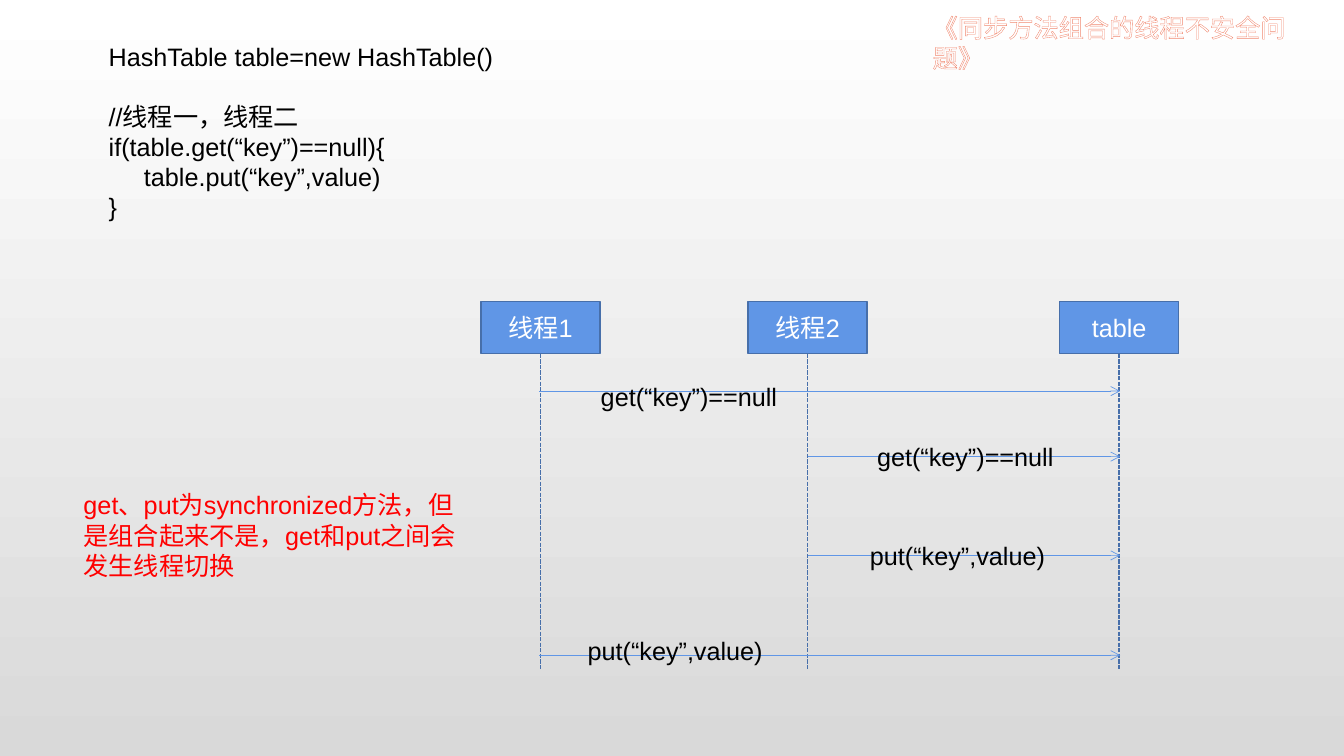
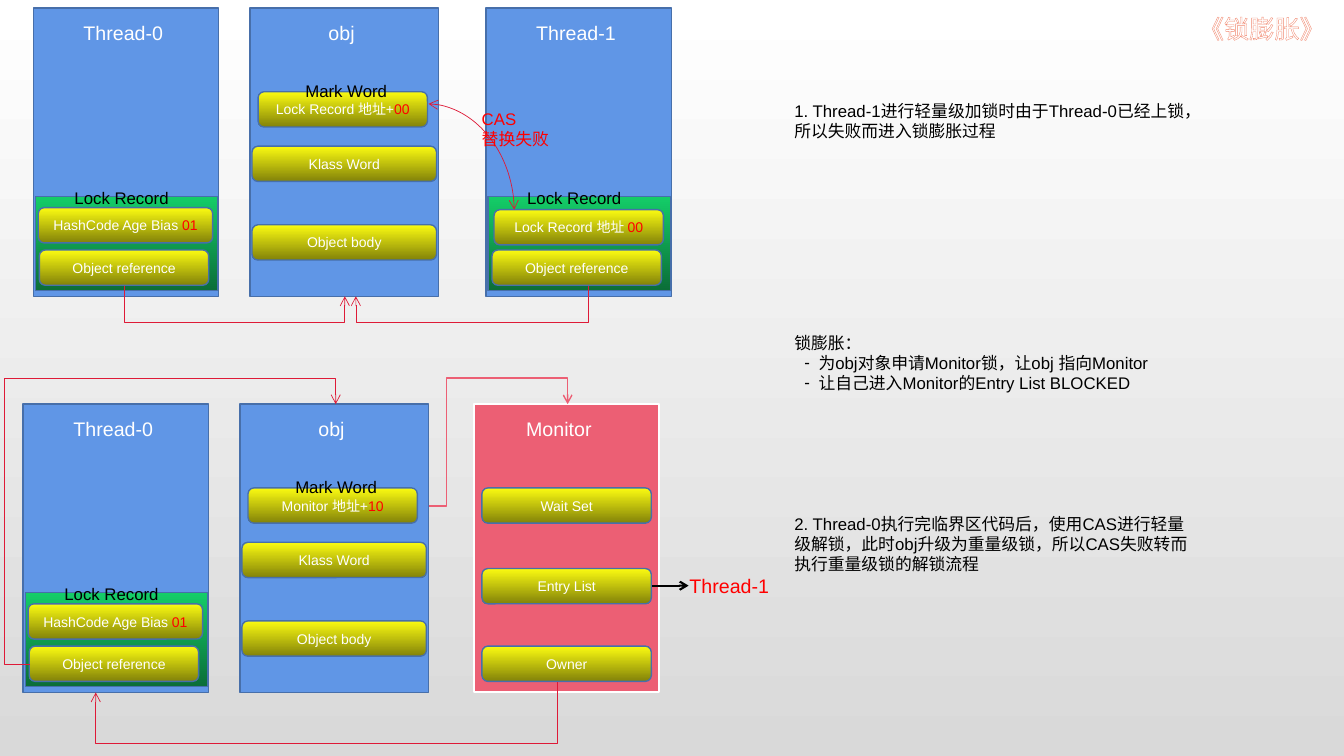
from lxml import etree
from pptx import Presentation
from pptx.dml.color import RGBColor
from pptx.enum.dml import MSO_LINE, MSO_PATTERN
from pptx.enum.shapes import MSO_CONNECTOR, MSO_SHAPE
from pptx.enum.text import MSO_ANCHOR, MSO_AUTO_SIZE, PP_ALIGN
from pptx.oxml.ns import qn
from pptx.util import Inches, Pt

RECT, ROUNDED = MSO_SHAPE.RECTANGLE, MSO_SHAPE.ROUNDED_RECTANGLE
STRAIGHT, ELBOW, CURVE = MSO_CONNECTOR.STRAIGHT, MSO_CONNECTOR.ELBOW, MSO_CONNECTOR.CURVE
TITLE_ONLY = 5
FONT = "Arial"
WHITE, BLACK, RED = "FFFFFF", "000000", "FF0000"
BLUE, BLUE_EDGE = "6096E6", "476FAA"
CORAL, CRIMSON = "EC5F74", "DE1A37"
GREEN = ("14CD68", "0B6E38")
YELLOW = ("FBFB11", "838309")
BACKDROP = (WHITE, "D9D9D9")
hex_color = RGBColor.from_string


def block(slide, at, lines=(), size=18, color=BLACK, fill=None, geometry=RECT,
          edge=BLUE_EDGE, edge_width=1):
    """Add a filled shape, or a text box when fill is None.

    Each line is a list of runs: plain strings or (text, color) pairs.
    A tuple as fill makes a gradient from top to bottom.
    """
    place = [Inches(length) for length in at]
    if fill is None:
        shape = slide.shapes.add_textbox(*place)
    else:
        shape = slide.shapes.add_shape(geometry, *place)
        shape.shadow.inherit = False
        shape.line.color.rgb = hex_color(edge)
        shape.line.width = Pt(edge_width)
        if isinstance(fill, tuple):
            shape.fill.gradient()
            shape.fill.gradient_angle = 270
            for stop, stop_color in zip(shape.fill.gradient_stops, fill):
                stop.color.rgb = hex_color(stop_color)
        else:
            shape.fill.solid()
            shape.fill.fore_color.rgb = hex_color(fill)
    frame = shape.text_frame
    frame.word_wrap = True
    for number, runs in enumerate(lines):
        paragraph = frame.add_paragraph() if number else frame.paragraphs[0]
        paragraph.alignment = PP_ALIGN.CENTER if fill else PP_ALIGN.LEFT
        for part in runs:
            text, run_color = (part, color) if isinstance(part, str) else part
            run = paragraph.add_run()
            run.text = text
            run.font.name = FONT
            run.font.size = Pt(size)
            run.font.color.rgb = hex_color(run_color)
    return shape


def link(slide, start, end, color, width, kind=STRAIGHT, preset="line", corner=None, arrows=()):
    """Add a connector; corner is the x of its first bend and the y of its second."""
    connector = slide.shapes.add_connector(kind, *[Inches(v) for v in (*start, *end)])
    connector.line.color.rgb = hex_color(color)
    connector.line.width = Pt(width)
    properties = connector._element.spPr
    geometry = properties.find(qn("a:prstGeom"))
    geometry.set("prst", preset)
    if corner:
        guides = geometry.find(qn("a:avLst"))
        if guides is None:
            guides = etree.SubElement(geometry, qn("a:avLst"))
        for axis in (0, 1):
            share = (corner[axis] - start[axis]) / (end[axis] - start[axis])
            etree.SubElement(guides, qn("a:gd"), name=f"adj{axis + 1}",
                             fmla=f"val {round(share * 100000)}")
    for arrow in arrows:
        etree.SubElement(properties.find(qn("a:ln")), qn(f"a:{arrow}"), type="arrow")
    etree.SubElement(properties, qn("a:effectLst"))
    return connector


prs = Presentation()
prs.slide_width, prs.slide_height = Inches(13.33), Inches(7.5)
backdrop = prs.slide_master.background.fill
backdrop.gradient()
backdrop.gradient_angle = 270
for stop, stop_color in zip(backdrop.gradient_stops, BACKDROP):
    stop.color.rgb = hex_color(stop_color)

# Slides with their hatched, outlined titles
slides = []
for heading, at in [
    ("《同步方法组合的线程不安全问题》", (9.15, 0.07, 4.09, 0.7)),
    ("《锁膨胀》", (11.79, 0.08, 1.54, 0.4)),
]:
    slide = prs.slides.add_slide(prs.slide_layouts[TITLE_ONLY])
    slides.append(slide)
    title = slide.shapes.title
    title.left, title.top, title.width, title.height = [Inches(v) for v in at]
    frame = title.text_frame
    frame.word_wrap = True
    frame.margin_right = 0
    frame.auto_size = MSO_AUTO_SIZE.NONE
    frame.vertical_anchor = MSO_ANCHOR.TOP
    frame.paragraphs[0].alignment = PP_ALIGN.LEFT
    run = frame.paragraphs[0].add_run()
    run.text = heading
    run.font.name = FONT
    run.font.size = Pt(18)
    run.font.fill.patterned()
    run.font.fill.pattern = MSO_PATTERN.LIGHT_DOWNWARD_DIAGONAL
    run.font.fill.fore_color.rgb = hex_color("F7B8A9")
    run.font.fill.back_color.rgb = hex_color(WHITE)
    outline = etree.Element(qn("a:ln"), w=str(Pt(1)))
    outline_fill = etree.SubElement(outline, qn("a:solidFill"))
    etree.SubElement(outline_fill, qn("a:srgbClr"), val="F18870")
    run._r.get_or_add_rPr().insert(0, outline)
unsafe_calls, lock_inflation = slides

# Slide 1: code and sequence diagram
code = block(unsafe_calls, (0.98, 0.36, 5.1, 1.92), [
    ["HashTable table=new HashTable()"],
    ["//线程一，线程二"],
    ["if(table.get(“key”)==null){"],
    ["table.put(“key”,value)"],
    ["}"],
])
code_lines = code.text_frame.paragraphs
code_lines[1].space_before = Pt(21)
code_lines[3]._p.get_or_add_pPr().set("marL", str(Inches(0.35)))

for participant, left, lifeline in [
    ("线程1", 4.77, 5.36), ("线程2", 7.42, 8.01), ("table", 10.51, 11.1),
]:
    block(unsafe_calls, (left, 2.99, 1.18, 0.52), [[participant]], color=WHITE, fill=BLUE)
    stem = link(unsafe_calls, (lifeline, 3.51), (lifeline, 6.65), BLUE_EDGE, 1)
    stem.line.dash_style = MSO_LINE.SQUARE_DOT

for call, caller, y, label_left, label_top in [
    ("get(“key”)==null", 5.35, 3.88, 5.86, 3.73),
    ("get(“key”)==null", 8.01, 4.53, 8.6, 4.33),
    ("put(“key”,value)", 8.01, 5.51, 8.53, 5.31),
    ("put(“key”,value)", 5.35, 6.5, 5.73, 6.25),
]:
    link(unsafe_calls, (caller, y), (11.11, y), BLUE, 0.5, arrows=["tailEnd"])
    block(unsafe_calls, (label_left, label_top, 2.21, 0.4), [[call]])

block(unsafe_calls, (0.73, 4.81, 3.96, 1.01),
      [["get、put为synchronized方法，但是组合起来不是，get和put之间会发生线程切换"]], color=RED)

# Slide 2: threads with their lock records
hash_record = ["HashCode Age Bias ", ("01", RED)]
for name, left, top, record, record_dx, record_dy, record_width in [
    ("Thread-0", 0.33, 0.08, hash_record, 0.05, 1.98, 1.73),
    ("Thread-1", 4.82, 0.08, ["Lock Record 地址 ", ("00", RED)], 0.08, 2, 1.68),
    ("Thread-0", 0.23, 4.01, hash_record, 0.05, 1.98, 1.73),
]:
    block(lock_inflation, (left, top, 1.84, 2.86), fill=BLUE)
    block(lock_inflation, (left + 0.4, top + 0.08, 1.04, 0.34), [[name]], 14, WHITE)
    block(lock_inflation, (left + 0.02, top + 1.87, 1.81, 0.93), fill=GREEN)
    block(lock_inflation, (left + 0.31, top + 1.73, 1.19, 0.3), [["Lock Record"]], 12)
    for runs, dx, dy, width in [
        (record, record_dx, record_dy, record_width),
        (["Object reference"], 0.06, 2.4, 1.68),
    ]:
        block(lock_inflation, (left + dx, top + dy, width, 0.35), [runs], 10, WHITE,
              YELLOW, ROUNDED)

# Objects before and after inflation
for left, top, mark_word in [
    (2.48, 0.08, ["Lock Record 地址+", ("00", RED)]),
    (2.38, 4.01, ["Monitor 地址+", ("10", RED)]),
]:
    block(lock_inflation, (left, top, 1.87, 2.86), fill=BLUE)
    block(lock_inflation, (left + 0.68, top + 0.08, 0.6, 0.34), [["obj"]], 14, WHITE)
    for runs, dx, dy, width in [
        (mark_word, 0.08, 0.83, 1.68),
        (["Klass Word"], 0.02, 1.37, 1.83),
        (["Object body"], 0.02, 2.15, 1.83),
    ]:
        block(lock_inflation, (left + dx, top + dy, width, 0.35), [runs], 10, WHITE,
              YELLOW, ROUNDED)
    block(lock_inflation, (left + 0.45, top + 0.67, 1.19, 0.3), [["Mark Word"]], 12)

# Monitor
block(lock_inflation, (4.7, 4.01, 1.84, 2.86), fill=CORAL, edge=WHITE, edge_width=1.5)
block(lock_inflation, (5.12, 4.09, 1.04, 0.34), [["Monitor"]], 14, WHITE)
for field, top in [("Wait Set", 4.84), ("Entry List", 5.64), ("Owner", 6.41)]:
    block(lock_inflation, (4.78, top, 1.68, 0.35), [[field]], 10, WHITE, YELLOW, ROUNDED)
block(lock_inflation, (6.74, 5.64, 1.04, 0.34), [["Thread-1"]], 14, RED)
link(lock_inflation, (6.47, 5.81), (6.83, 5.81), BLACK, 1.5, arrows=["tailEnd"])

# References between threads, objects and monitor
for start, end, corner, color, width in [
    ((1.23, 2.84), (3.42, 2.94), (1.23, 3.2), CRIMSON, 0.5),
    ((5.84, 2.84), (3.53, 2.94), (5.84, 3.2), CRIMSON, 0.5),
    ((0.3, 6.59), (3.33, 4.01), (0.04, 3.75), CRIMSON, 0.5),
    ((5.53, 6.77), (0.95, 6.87), (5.53, 7.38), CRIMSON, 0.5),
    ((4.25, 5.02), (5.63, 4.01), (4.43, 3.75), CORAL, 1),
]:
    link(lock_inflation, start, end, color, width, ELBOW, "bentConnector4", corner, ["tailEnd"])
link(lock_inflation, (4.25, 1.03), (5.1, 2.08), CRIMSON, 0.5, CURVE, "curvedConnector2",
     arrows=["headEnd", "tailEnd"])
block(lock_inflation, (4.68, 1.03, 0.93, 0.5), [["CAS"], ["替换失败"]], 12, RED)

# Explanation
block(lock_inflation, (7.78, 0.95, 4.24, 0.5),
      [["1. Thread-1进行轻量级加锁时由于Thread-0已经上锁，所以失败而进入锁膨胀过程"]], 12)
steps = block(lock_inflation, (7.78, 3.25, 4.22, 2.52), [
    ["锁膨胀："],
    ["为obj对象申请Monitor锁，让obj 指向Monitor"],
    ["让自己进入Monitor的Entry List BLOCKED"],
    ["2. Thread-0执行完临界区代码后，使用CAS进行轻量级解锁，此时obj升级为重量级锁，所以CAS失败转而执行重量级锁的解锁流程"],
], 12)
step_lines = steps.text_frame.paragraphs
for step in step_lines[1:3]:
    step_format = step._p.get_or_add_pPr()
    step_format.set("marL", str(Inches(0.24)))
    step_format.set("indent", str(Inches(-0.14)))
    etree.SubElement(step_format, qn("a:buFont"), typeface=FONT)
    etree.SubElement(step_format, qn("a:buChar"), char="-")
step_lines[3].space_before = Pt(86)

prs.save("out.pptx")
